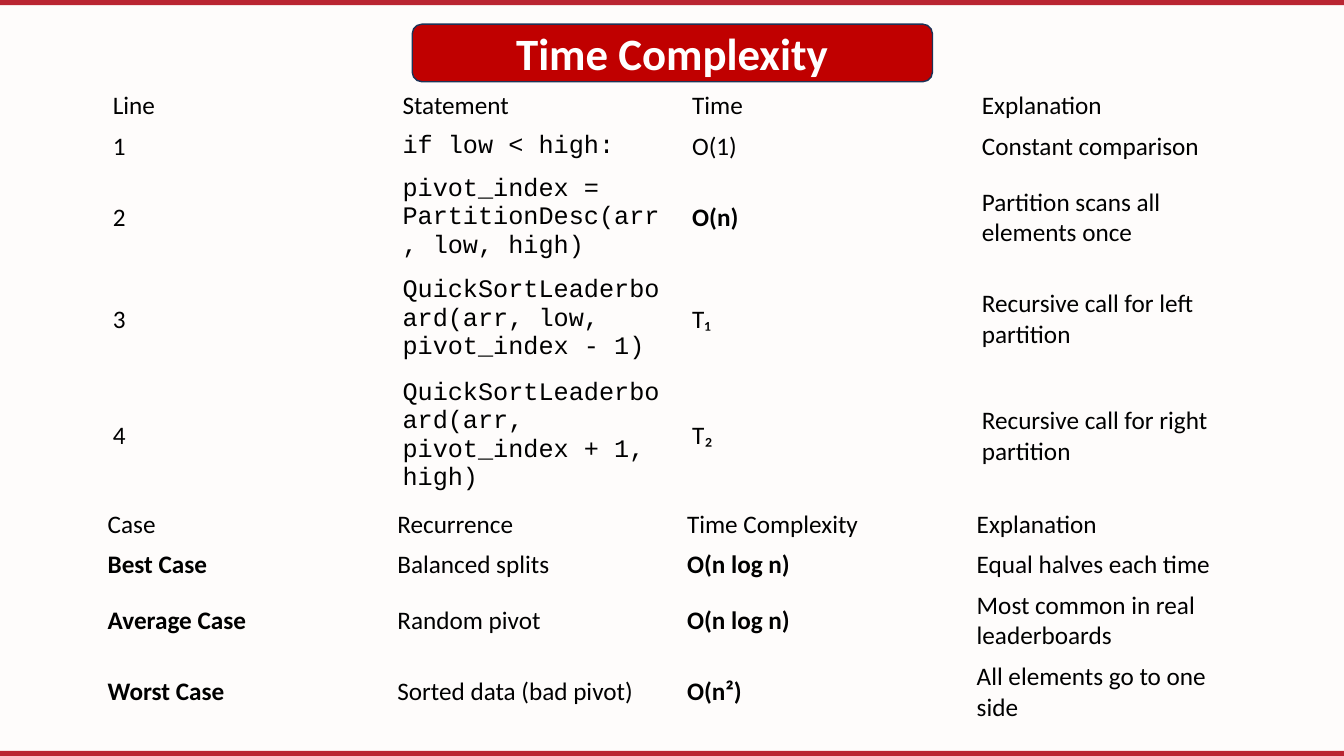
import pptx
import pptx.dml.color
import pptx.enum.shapes
import pptx.enum.text
import pptx.oxml.ns
import pptx.util

Cm = pptx.util.Cm
RGBColor = pptx.dml.color.RGBColor
Shape = pptx.enum.shapes.MSO_SHAPE
Anchor = pptx.enum.text.MSO_ANCHOR

CREAM = RGBColor(0xFE, 0xFC, 0xFB)
CRIMSON = RGBColor(0xBA, 0x25, 0x32)
RED = RGBColor(0xC0, 0x00, 0x00)
NAVY = RGBColor(0x1E, 0x32, 0x56)
WHITE = RGBColor(0xFF, 0xFF, 0xFF)
BLACK = RGBColor(0x00, 0x00, 0x00)

SLIDE_WIDTH = 33.87
SLIDE_HEIGHT = 19.05
BAR_HEIGHT = 0.13
COLUMN_WIDTH = 7.3
PLAIN_TABLE_STYLE = "{2D5ABB26-0587-4C30-8999-92F81FD0307C}"

STATEMENT_ROWS = [
    ("Line", "Statement", "Time", "Explanation"),
    ("1", "if low < high:", "O(1)", "Constant comparison"),
    ("2", "pivot_index = PartitionDesc(arr, low, high)", "O(n)",
     "Partition scans all elements once"),
    ("3", "QuickSortLeaderboard(arr, low, pivot_index - 1)", "T₁",
     "Recursive call for left partition"),
    ("4", "QuickSortLeaderboard(arr, pivot_index + 1, high)", "T₂",
     "Recursive call for right partition"),
]
CASE_ROWS = [
    ("Case", "Recurrence", "Time Complexity", "Explanation"),
    ("Best Case", "Balanced splits", "O(n log n)", "Equal halves each time"),
    ("Average Case", "Random pivot", "O(n log n)", "Most common in real leaderboards"),
    ("Worst Case", "Sorted data (bad pivot)", "O(n²)", "All elements go to one side"),
]


class SlideBuilder:
    body_font = "Calibri"
    code_font = "Courier New"
    body_size = 18
    title_size = 32

    def __init__(self, slide):
        self.slide = slide

    def background(self, color):
        fill = self.slide.background.fill
        fill.solid()
        fill.fore_color.rgb = color

    def panel(self, kind, left, top, width, height, color, outline=None):
        shape = self.slide.shapes.add_shape(kind, Cm(left), Cm(top), Cm(width), Cm(height))
        shape.shadow.inherit = False
        shape.fill.solid()
        shape.fill.fore_color.rgb = color
        if outline is None:
            shape.line.fill.background()
        else:
            shape.line.color.rgb = outline
            shape.line.width = pptx.util.Pt(1)

    def format_text(self, frame, size, color, font, bold):
        for paragraph in frame.paragraphs:
            for span in paragraph.runs:
                span.font.name = font
                span.font.size = pptx.util.Pt(size)
                span.font.color.rgb = color
                span.font.bold = bold

    def title(self, text, left, top, width, height):
        box = self.slide.shapes.add_textbox(Cm(left), Cm(top), Cm(width), Cm(height))
        frame = box.text_frame
        frame.word_wrap = True
        frame.auto_size = pptx.enum.text.MSO_AUTO_SIZE.SHAPE_TO_FIT_TEXT
        frame.text = text
        frame.paragraphs[0].alignment = pptx.enum.text.PP_ALIGN.CENTER
        self.format_text(frame, self.title_size, WHITE, self.body_font, True)

    def table(self, rows, left, top, heights, code_cells, bold_cells):
        columns = len(rows[0])
        holder = self.slide.shapes.add_table(
            len(rows), columns, Cm(left), Cm(top),
            Cm(COLUMN_WIDTH * columns), Cm(sum(heights)))
        for style in holder.element.iter(pptx.oxml.ns.qn("a:tableStyleId")):
            style.text = PLAIN_TABLE_STYLE
        table = holder.table
        table.first_row = False
        table.horz_banding = False
        for column in table.columns:
            column.width = Cm(COLUMN_WIDTH)
        for row_index, (texts, height) in enumerate(zip(rows, heights)):
            table.rows[row_index].height = Cm(height)
            for column_index, text in enumerate(texts):
                place = (row_index, column_index)
                cell = table.cell(*place)
                cell.text = text
                cell.fill.background()
                cell.vertical_anchor = Anchor.MIDDLE
                font = self.code_font if place in code_cells else self.body_font
                self.format_text(cell.text_frame, self.body_size, BLACK, font,
                                 place in bold_cells)


def main():
    deck = pptx.Presentation()
    deck.slide_width = Cm(SLIDE_WIDTH)
    deck.slide_height = Cm(SLIDE_HEIGHT)
    page = SlideBuilder(deck.slides.add_slide(deck.slide_layouts[6]))
    page.background(CREAM)
    for bar_top in (SLIDE_HEIGHT - BAR_HEIGHT, 0):
        page.panel(Shape.RECTANGLE, 0, bar_top, SLIDE_WIDTH, BAR_HEIGHT, CRIMSON)
    page.panel(Shape.ROUNDED_RECTANGLE, 10.39, 0.61, 13.11, 1.45, RED, NAVY)
    page.title("Time Complexity", 7.39, 0.53, 19.1, 1.63)
    page.table(STATEMENT_ROWS, 2.59, 2.16, (1.03, 1.03, 2.5, 2.58, 3.26),
               code_cells={(row, 1) for row in range(1, len(STATEMENT_ROWS))},
               bold_cells={(2, 2)})
    page.table(CASE_ROWS, 2.46, 12.7, (1.02, 1.02, 1.8, 1.8),
               code_cells=set(),
               bold_cells={(row, column) for row in range(1, len(CASE_ROWS))
                           for column in (0, 2)})
    deck.save("out.pptx")


if __name__ == "__main__":
    main()
